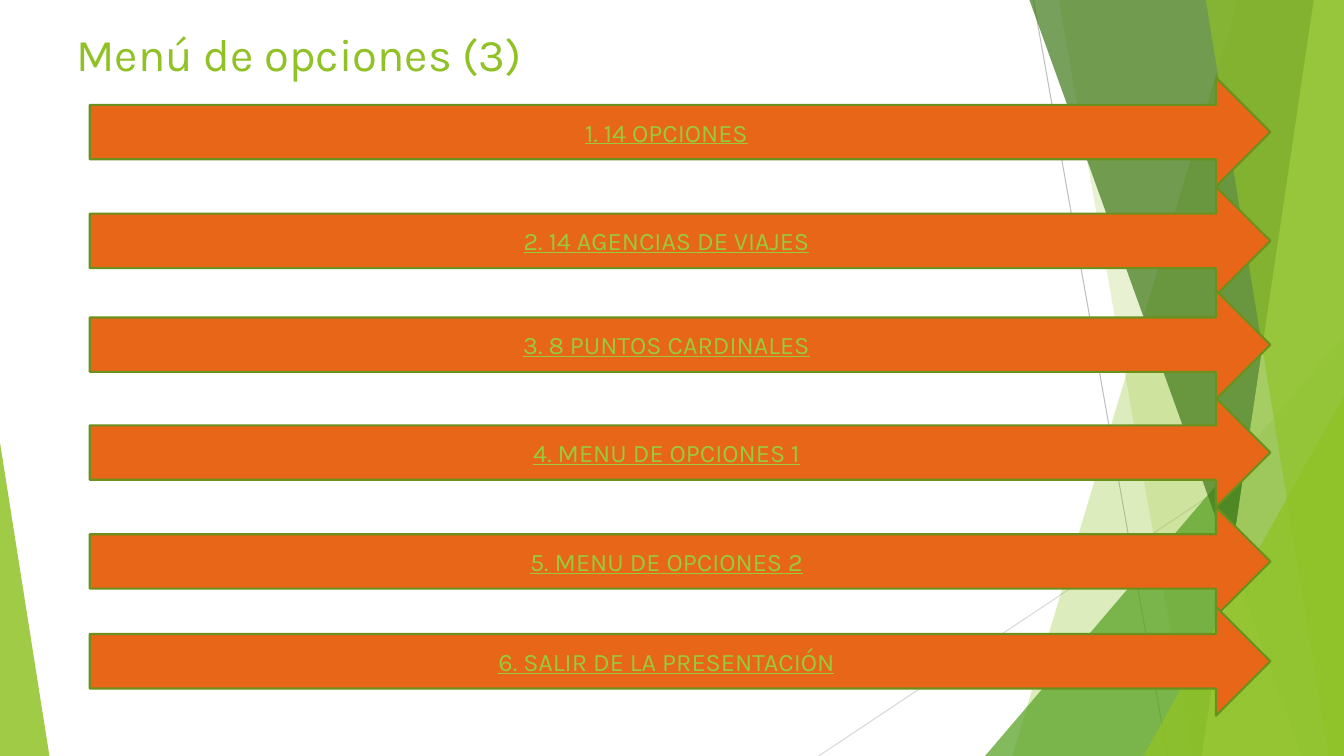
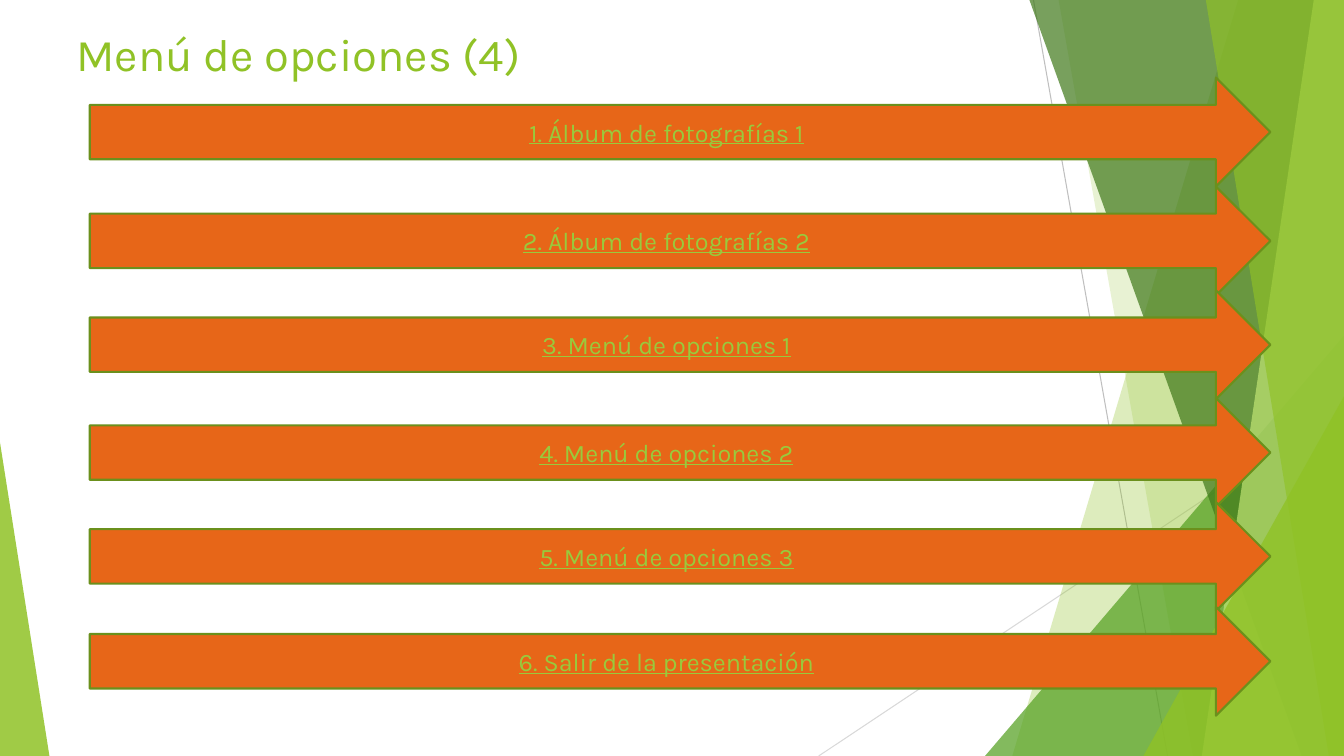
from dataclasses import dataclass

from lxml import etree
from pptx import Presentation
from pptx import util as u
from pptx.dml.color import RGBColor
from pptx.enum import shapes, text
from pptx.oxml import ns


@dataclass(frozen=True)
class Theme:
    font: str = "Karla"
    title: float = 32.4
    label: float = 18
    green: str = "90C226"
    leaf: str = "54A021"
    dark: str = "3F7819"
    lime: str = "C0E474"
    link: str = "99CA3C"
    orange: str = "E76618"
    edge: str = "6B901C"
    gray: str = "BFBFBF"
    pale: str = "D9D9D9"


WIDE, HIGH = 13.33, 7.5


class Deck:
    def __init__(self, theme):
        self.theme = theme
        self.prs = Presentation()
        self.prs.slide_width = u.Inches(WIDE)
        self.prs.slide_height = u.Inches(HIGH)
        self.slide = None

    def page(self):
        self.slide = self.prs.slides.add_slide(self.prs.slide_layouts[6])
        self.backdrop()

    def paint(self, shape, color, alpha):
        """Give a shape a translucent fill and no outline."""
        shape.shadow.inherit = False
        shape.line.fill.background()
        shape.fill.solid()
        shape.fill.fore_color.rgb = RGBColor.from_string(color)
        tint = shape._element.spPr.find(".//" + ns.qn("a:srgbClr"))
        etree.SubElement(tint, ns.qn("a:alpha"), val=str(alpha * 1000))

    def letter(self, para, words, size, color):
        """Set the words and type of a paragraph."""
        para.text = words
        para.font.name = self.theme.font
        para.font.size = u.Pt(size)
        para.font.color.rgb = RGBColor.from_string(color)

    def line(self, start, end, color):
        ends = [u.Inches(n) for n in (*start, *end)]
        line = self.slide.shapes.add_connector(
            shapes.MSO_CONNECTOR.STRAIGHT, *ends)
        line.line.color.rgb = RGBColor.from_string(color)
        line.line.width = u.Pt(0.75)
        etree.SubElement(line._element.spPr, ns.qn("a:effectLst"))

    def band(self, top, base, color, alpha):
        """Fill from a slanted left edge to the right side of the slide."""
        spots = [(top, 0), (WIDE, 0), (WIDE, HIGH), (base, HIGH)]
        spots = [(u.Inches(x), u.Inches(y)) for x, y in spots]
        form = self.slide.shapes.build_freeform(*spots[0])
        form.add_line_segments(spots[1:], close=True)
        self.paint(form.convert_to_shape(), color, alpha)

    def wedge(self, left, top, width, apex, color, alpha):
        """Stand a triangle on the bottom edge of the slide."""
        box = [u.Inches(n) for n in (left, top, width, HIGH - top)]
        wedge = self.slide.shapes.add_shape(
            shapes.MSO_SHAPE.ISOSCELES_TRIANGLE, *box)
        wedge.adjustments[0] = apex
        self.paint(wedge, color, alpha)

    def backdrop(self):
        t = self.theme
        self.line((10.25, 0), (11.58, HIGH), t.gray)
        self.line((WIDE, 4.03), (8.12, HIGH), t.pale)
        self.band(12.28, 10.04, t.green, 30)
        self.band(10.5, 11.83, t.green, 20)
        self.wedge(9.77, 3.33, 3.56, 1, t.leaf, 72)
        self.band(10.21, 12.91, t.dark, 70)
        self.band(13.03, 11.92, t.lime, 70)
        self.band(11.96, 13.18, t.green, 65)
        self.wedge(11.34, 3.93, 1.99, 1, t.green, 80)
        self.wedge(0, 4.39, 0.49, 0, t.green, 85)

    def title(self, words):
        box = [u.Inches(n) for n in (0.66, 0.15, 4.89, 0.75)]
        frame = self.slide.shapes.add_textbox(*box).text_frame
        frame.word_wrap = True
        frame.vertical_anchor = text.MSO_ANCHOR.MIDDLE
        self.letter(frame.paragraphs[0], words,
                    self.theme.title, self.theme.green)

    def arrow(self, top, words):
        t = self.theme
        box = [u.Inches(n) for n in (0.89, top, 11.71, 1.08)]
        arrow = self.slide.shapes.add_shape(
            shapes.MSO_SHAPE.RIGHT_ARROW, *box)
        arrow.shadow.inherit = False
        arrow.fill.solid()
        arrow.fill.fore_color.rgb = RGBColor.from_string(t.orange)
        arrow.line.color.rgb = RGBColor.from_string(t.edge)
        arrow.line.width = u.Pt(1.5)
        frame = arrow.text_frame
        frame.vertical_anchor = text.MSO_ANCHOR.MIDDLE
        para = frame.paragraphs[0]
        self.letter(para, words, t.label, t.link)
        para.font.underline = True
        para.alignment = text.PP_ALIGN.CENTER

    def menu(self, number, fifth, items):
        """Build a menu slide; the fifth arrow sits differently on each."""
        self.page()
        self.title(f"Menú de opciones ({number})")
        tops = (0.77, 1.85, 2.88, 3.95, fifth, 6.02)
        for rank, (top, item) in enumerate(zip(tops, items), 1):
            self.arrow(top, f"{rank}. {item}")


def main():
    deck = Deck(Theme())
    deck.menu(3, 5.03, [
        "14 OPCIONES",
        "14 AGENCIAS DE VIAJES",
        "8 PUNTOS CARDINALES",
        "MENU DE OPCIONES 1",
        "MENU DE OPCIONES 2",
        "SALIR DE LA PRESENTACIÓN",
    ])
    deck.menu(4, 4.98, [
        "Álbum de fotografías 1",
        "Álbum de fotografías 2",
        "Menú de opciones 1",
        "Menú de opciones 2",
        "Menú de opciones 3",
        "Salir de la presentación",
    ])
    deck.prs.save("out.pptx")


if __name__ == "__main__":
    main()
